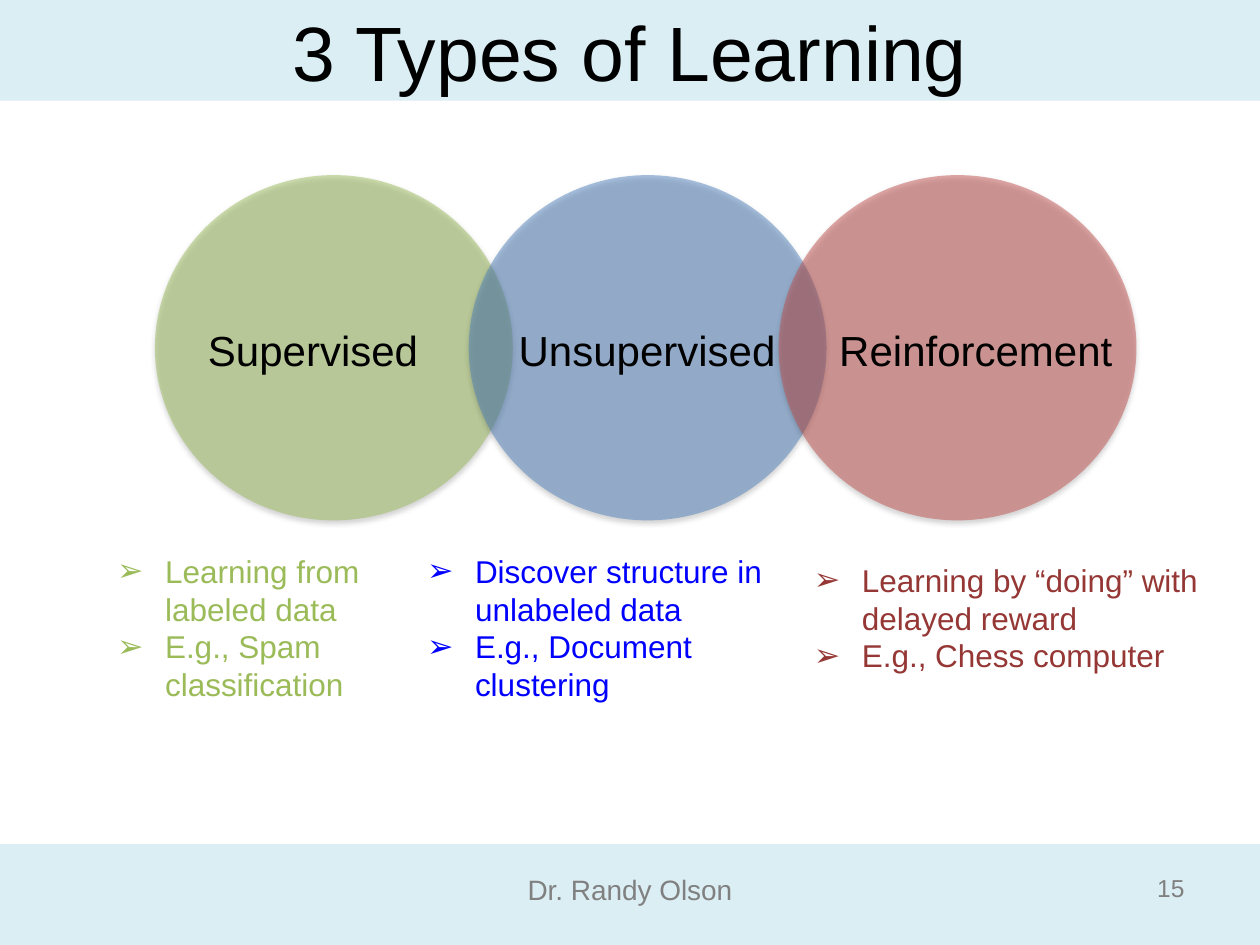
from lxml import etree
from pptx import Presentation
from pptx.dml.color import RGBColor
from pptx.enum.shapes import MSO_SHAPE
from pptx.enum.text import MSO_ANCHOR, MSO_AUTO_SIZE, PP_ALIGN
from pptx.oxml import parse_xml
from pptx.oxml.ns import qn
from pptx.util import Inches, Pt

RECT, OVAL = MSO_SHAPE.RECTANGLE, MSO_SHAPE.OVAL
TOP, MIDDLE = MSO_ANCHOR.TOP, MSO_ANCHOR.MIDDLE
LEFT, CENTER, RIGHT = PP_ALIGN.LEFT, PP_ALIGN.CENTER, PP_ALIGN.RIGHT
FIXED = MSO_AUTO_SIZE.NONE

BLACK = RGBColor(0x00, 0x00, 0x00)
GRAY = RGBColor(0x80, 0x80, 0x80)
PALE = RGBColor(0xDB, 0xEE, 0xF4)
GREEN = RGBColor(0x9B, 0xBB, 0x59)
STEEL = RGBColor(0x4F, 0x81, 0xBD)
RED = RGBColor(0xC0, 0x50, 0x4D)
BLUE = RGBColor(0x00, 0x00, 0xFF)
MAROON = RGBColor(0x95, 0x37, 0x35)

FONT = "Arial"
INDENT = Inches(0.38)
SHADOW = (
    '<a:effectLst xmlns:a="http://schemas.openxmlformats.org/drawingml/2006/main">'
    '<a:outerShdw blurRad="39370" dist="22860" dir="5400000" rotWithShape="0">'
    '<a:srgbClr val="000000"><a:alpha val="35000"/></a:srgbClr>'
    '</a:outerShdw></a:effectLst>'
)

TYPES = [
    ("Supervised", 1.23, GREEN, 1.12),
    ("Unsupervised", 3.72, STEEL, 3.77),
    ("Reinforcement", 6.18, RED, 6.38),
]
LISTS = [
    (["Learning from labeled data", "E.g., Spam classification"],
     (0.83, 4.33, 2.84, 1.31), GREEN),
    (["Discover structure in unlabeled data", "E.g., Document clustering"],
     (3.29, 4.33, 3.27, 1.31), BLUE),
    (["Learning by “doing” with delayed reward", "E.g., Chess computer"],
     (6.36, 4.4, 3.46, 1.01), MAROON),
]


def place(shape, box):
    shape.left, shape.top, shape.width, shape.height = map(Inches, box)


def add_bullet(para):
    props = para._p.get_or_add_pPr()
    props.set("marL", str(INDENT))
    props.set("indent", str(-INDENT))
    etree.SubElement(props, qn("a:buFont")).set("typeface", FONT)
    etree.SubElement(props, qn("a:buChar")).set("char", "➢")


def set_text(shape, lines, size=18, color=BLACK, align=LEFT, anchor=TOP, bullet=False):
    frame = shape.text_frame
    frame.auto_size = FIXED
    frame.word_wrap = True
    frame.vertical_anchor = anchor
    frame.text = "\n".join(lines)
    for para in frame.paragraphs:
        if bullet:
            add_bullet(para)
        para.alignment = align
        para.space_before = Pt(0)
        font = para.runs[0].font
        font.name, font.size, font.bold = FONT, Pt(size), False
        font.color.rgb = color


def add_label(slide, text, box, **style):
    label = slide.shapes.add_textbox(*map(Inches, box))
    set_text(label, [text], **style)


def add_shape(slide, kind, box, color):
    shape = slide.shapes.add_shape(kind, *map(Inches, box))
    shape.shadow.inherit = False
    shape.fill.solid()
    shape.fill.fore_color.rgb = color
    shape.line.fill.background()
    return shape


def add_circle(slide, left, color):
    circle = add_shape(slide, OVAL, (left, 1.39, 2.84, 2.74), color)
    props = circle._element.spPr
    tint = props.find(qn("a:solidFill"))[0]
    etree.SubElement(tint, qn("a:alpha")).set("val", "49000")
    props.replace(props.find(qn("a:effectLst")), parse_xml(SHADOW))


def add_list(slide, holder, lines, box, color):
    place(holder, box)
    set_text(holder, lines, color=color, bullet=True)
    slide.shapes.element.append(holder.element)


def main():
    deck = Presentation()
    deck.slide_width, deck.slide_height = Inches(10), Inches(7.5)
    slide = deck.slides.add_slide(deck.slide_layouts.get_by_name("Comparison"))
    title, *bodies = slide.placeholders

    for top in (6.7, 0):
        add_shape(slide, RECT, (0, top, 10, 0.8), PALE)
    add_label(slide, "Dr. Randy Olson", (0.5, 6.88, 9, 0.37),
              size=16, color=GRAY, align=CENTER)

    place(title, (0.5, -0.22, 9, 1.25))
    set_text(title, ["3 Types of Learning"], size=44, align=CENTER, anchor=MIDDLE)
    slide.shapes.element.append(title.element)
    add_label(slide, "15", (8.74, 6.84, 0.76, 0.41),
              size=14, color=GRAY, align=RIGHT, anchor=MIDDLE)

    for name, left, color, start in TYPES:
        add_circle(slide, left, color)
    for name, left, color, start in TYPES:
        add_label(slide, name, (start, 2.53, 2.73, 0.5), size=24, align=CENTER)

    for holder, (lines, box, color) in zip(bodies, LISTS):
        add_list(slide, holder, lines, box, color)
    for spare in bodies[len(LISTS):]:
        spare.element.getparent().remove(spare.element)

    deck.save("out.pptx")


if __name__ == "__main__":
    main()
